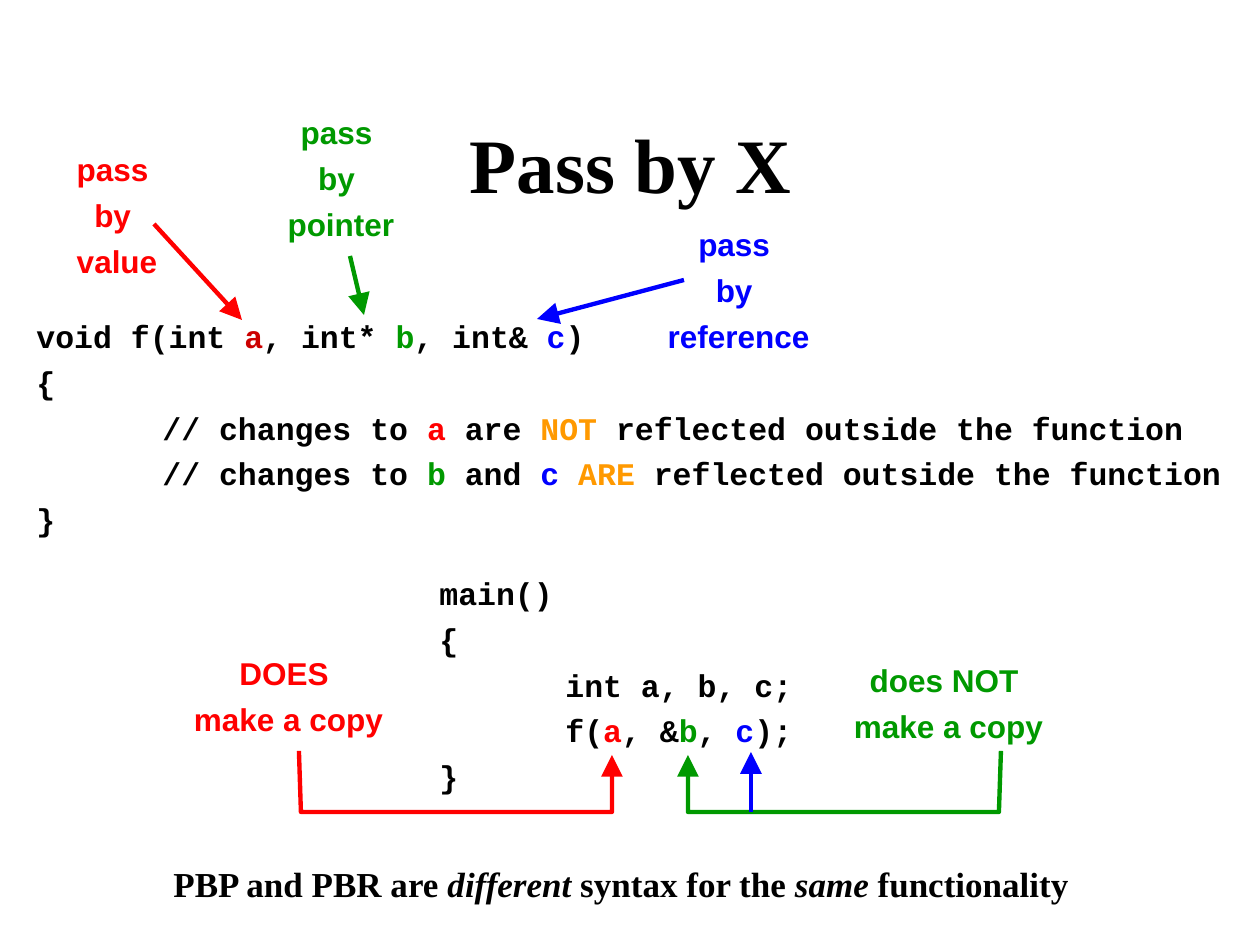
from lxml.etree import SubElement
from pptx import Presentation
from pptx.dml.color import RGBColor
from pptx.enum.shapes import MSO_CONNECTOR as CONN
from pptx.enum.text import MSO_ANCHOR as ANCHOR, MSO_AUTO_SIZE as AUTO, PP_ALIGN as ALIGN
from pptx.oxml.ns import qn
from pptx.util import Inches, Pt

PX = Inches(1) / 126
TAB = 126
C = dict(black="000000", red="FF0000", dark_red="CC0000", green="009900",
         blue="0000FF", orange="FF9900")


def emu(*lengths):
    return [round(n * PX) for n in lengths]


def add_text(s, box, paragraphs, font="Arial", size=18, color="black",
             align=ALIGN.LEFT, before=4.5, wrap=False, anchor=ANCHOR.TOP):
    tf = s.shapes.add_textbox(*emu(*box)).text_frame
    tf.word_wrap = wrap
    tf.auto_size = AUTO.NONE if wrap else AUTO.SHAPE_TO_FIT_TEXT
    tf.vertical_anchor = anchor
    for i, runs in enumerate(paragraphs):
        p = tf.paragraphs[0] if i == 0 else tf.add_paragraph()
        p.alignment = align
        p.space_before = Pt(before)
        tabs = SubElement(p._p.get_or_add_pPr(), qn("a:tabLst"))
        SubElement(tabs, qn("a:tab"), pos=str(emu(TAB)[0]), algn="l")
        for run in [runs] if isinstance(runs, str) else runs:
            text, style = (run, color) if isinstance(run, str) else run
            r = p.add_run()
            r.text = text
            r.font.name, r.font.size, r.font.bold = font, Pt(size), True
            r.font.italic = style == "italic"
            r.font.color.rgb = RGBColor.from_string(C.get(style, C[color]))


def add_arrow(s, box, points, color):
    points = [emu(box[0] + x, box[1] + y) for x, y in points]
    if len(points) == 2:
        sp = s.shapes.add_connector(CONN.STRAIGHT, *points[0], *points[1])
    else:
        builder = s.shapes.build_freeform(*points[0])
        builder.add_line_segments(points[1:], close=False)
        sp = builder.convert_to_shape()
        sp.fill.background()
    sp.line.color.rgb = RGBColor.from_string(C[color])
    sp.line.width = Pt(2.5)
    props = sp._element.spPr
    SubElement(props.get_or_add_ln(), qn("a:tailEnd"), type="triangle", w="lg", len="lg")
    SubElement(props, qn("a:effectLst"))


def add_title(s, box):
    add_text(s, box, ["Pass by X"], font="Times New Roman", size=44,
             align=ALIGN.CENTER, before=0, wrap=True, anchor=ANCHOR.MIDDLE)


def add_code(s, box, lines):
    add_text(s, box, lines, font="Courier New")


def add_callout(s, box, lines, color, route):
    add_text(s, box, lines, color=color, align=ALIGN.CENTER)
    add_arrow(s, box, route, color)


def add_summary(s, box):
    add_text(s, box, [["PBP and PBR are ", ("different", "italic"), " syntax for the ",
                       ("same", "italic"), " functionality"]],
             font="Times New Roman", size=20, before=5)


def main():
    prs = Presentation()
    prs.slide_width, prs.slide_height = Inches(10), Inches(7.5)
    s = prs.slides.add_slide(prs.slide_layouts[6])

    add_title(s, (95, 84, 1071, 158))
    add_code(s, (24, 311, 1210, 233), [
        ["void f(int ", ("a", "dark_red"), ", int* ", ("b", "green"),
         ", int& ", ("c", "blue"), ")"],
        "{",
        ["\t// changes to ", ("a", "red"), " are ", ("NOT", "orange"),
         " reflected outside the function"],
        ["\t// changes to ", ("b", "green"), " and ", ("c ", "blue"), ("ARE", "orange"),
         " reflected outside the function"],
        "}"])
    add_code(s, (427, 568, 378, 233), [
        "main()",
        "{",
        "\tint a, b, c;",
        ["\tf(", ("a", "red"), ", &", ("b", "green"), ", ", ("c", "blue"), ");"],
        "}"])

    for box, word, color, route in [
        ((64, 144, 106, 142), "value", "red", [(90, 80), (178, 176)]),
        ((273, 107, 136, 142), "pointer", "green", [(77, 149), (91, 208)]),
        ((653, 219, 171, 142), "reference", "blue", [(31, 61), (-116, 100)]),
    ]:
        add_callout(s, box, ["pass ", "by ", word], color, route)

    no_copy = (841, 655, 215, 97)
    for box, word, color, route in [
        ((181, 648, 215, 97), "DOES ", "red",
         [(118, 103), (120, 164), (431, 164), (431, 107)]),
        (no_copy, "does NOT ", "green",
         [(160, 96), (158, 157), (-153, 157), (-153, 100)]),
    ]:
        add_callout(s, box, [word, "make a copy"], color, route)
    add_arrow(s, no_copy, [(-90, 157), (-90, 97)], "blue")

    add_summary(s, (161, 856, 924, 55))
    prs.save("out.pptx")


if __name__ == "__main__":
    main()
